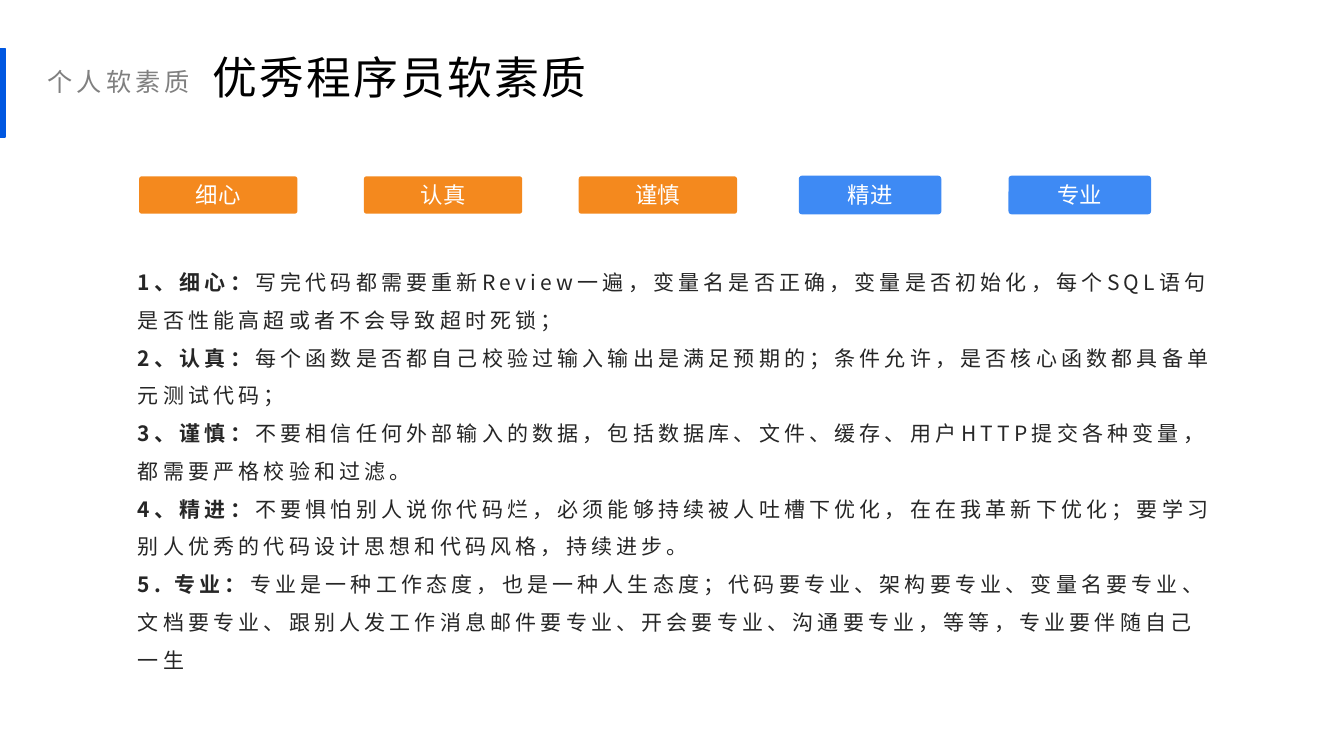
from lxml import etree
from pptx import Presentation
from pptx.dml.color import RGBColor
from pptx.enum.shapes import MSO_SHAPE
from pptx.enum.text import MSO_ANCHOR, MSO_AUTO_SIZE, PP_ALIGN
from pptx.oxml.ns import qn
from pptx.util import Inches, Pt

RECT, ROUND = MSO_SHAPE.RECTANGLE, MSO_SHAPE.ROUNDED_RECTANGLE
TOP, MIDDLE, BOTTOM = MSO_ANCHOR.TOP, MSO_ANCHOR.MIDDLE, MSO_ANCHOR.BOTTOM
LEFT, CENTER = PP_ALIGN.LEFT, PP_ALIGN.CENTER
FIXED, GROW = MSO_AUTO_SIZE.NONE, MSO_AUTO_SIZE.SHAPE_TO_FIT_TEXT
CJK = "Noto Sans CJK SC"
COLORS = {"bar": "0057E1", "title": "000000", "label": "808080", "body": "262626",
          "orange": "F4891E", "blue": "3E8AF4", "white": "FFFFFF"}


def add_run(par, text, size, color, gap=0, bold=False, font=CJK):
    """Append a run; gap is the letter spacing in points."""
    run = par.add_run()
    run.text = text
    for key, value in {"size": Pt(size), "bold": bold, "name": font}.items():
        setattr(run.font, key, value)
    run.font.color.rgb = RGBColor.from_string(COLORS[color])
    props = run.font._element
    props.set("spc", str(int(gap * 100)))
    etree.SubElement(props, qn("a:ea")).set("typeface", CJK)


def add_block(kind, left, top, width, height, color, edge):
    block = slide.shapes.add_shape(kind, Inches(left), Inches(top), Inches(width), Inches(height))
    block.shadow.inherit = False
    rgb = RGBColor.from_string(COLORS[color])
    block.fill.solid()
    block.fill.fore_color.rgb = rgb
    if edge:
        block.line.color.rgb = rgb
        block.line.width = Pt(1)
    else:
        block.line.fill.background()
    return block


deck = Presentation()
deck.slide_width, deck.slide_height = Inches(13.33), Inches(7.5)
slide = deck.slides.add_slide(deck.slide_layouts[5])

add_block(RECT, 0, 0.48, 0.05, 0.88, "bar", True)

# Headings
title = slide.shapes.title
title.left, title.top, title.width, title.height = map(Inches, (2.01, 0.39, 11, 0.66))
label = slide.shapes.add_textbox(Inches(0.37), Inches(0.48), Inches(10.48), Inches(0.48))
heads = [
    (title, "优秀程序员软素质", 32, "title", 1.5, TOP, 0, 0.05),
    (label, "个人软素质", 18, "label", 3, BOTTOM, 0.05, 0),
]
for box, text, size, color, gap, anchor, above, below in heads:
    frame = box.text_frame
    form = {"word_wrap": True, "auto_size": FIXED, "vertical_anchor": anchor,
            "margin_top": Inches(above), "margin_bottom": Inches(below)}
    for key, value in form.items():
        setattr(frame, key, value)
    par = frame.paragraphs[0]
    par.alignment, par.line_spacing = LEFT, 1.2
    add_run(par, text, size, color, gap)

# Explanations
points = [
    ("1、细心：", "写完代码都需要重新Review一遍，变量名是否正确，变量是否初始化，"
     "每个SQL语句是否性能高超或者不会导致超时死锁；"),
    ("2、认真：", "每个函数是否都自己校验过输入输出是满足预期的；条件允许，"
     "是否核心函数都具备单元测试代码；"),
    ("3、谨慎：", "不要相信任何外部输入的数据，包括数据库、文件、缓存、"
     "用户HTTP提交各种变量，都需要严格校验和过滤。"),
    ("4、精进：", "不要惧怕别人说你代码烂，必须能够持续被人吐槽下优化，在在我革新下优化；"
     "要学习别人优秀的代码设计思想和代码风格，持续进步。"),
    ("5. 专业：", "专业是一种工作态度，也是一种人生态度；代码要专业、架构要专业、变量名要专业、"
     "文档要专业、跟别人发工作消息邮件要专业、开会要专业、沟通要专业，等等，专业要伴随自己一生"),
]
body = slide.shapes.add_textbox(Inches(1.27), Inches(2.5), Inches(10.93), Inches(4.27))
frame = body.text_frame
frame.word_wrap, frame.auto_size = True, GROW
for i, (head, text) in enumerate(points):
    par = frame.add_paragraph() if i else frame.paragraphs[0]
    par.line_spacing = 1.5
    add_run(par, head, 15, "body", 3, True)
    add_run(par, text, 15, "body", 3)

# Quality badges
badges = [
    ("细心", 1.38, 1.57, "orange"),
    ("认真", 3.61, 1.57, "orange"),
    ("谨慎", 5.74, 1.57, "orange"),
    ("精进", 7.93, 1.4, "blue"),
    ("专业", 10.01, 1.4, "blue"),
]
for text, left, width, color in badges:
    badge = add_block(ROUND, left, 1.75, width, 0.37, color, color == "blue")
    badge.adjustments[0] = 0.07
    frame = badge.text_frame
    frame.vertical_anchor = MIDDLE
    par = frame.paragraphs[0]
    par.alignment = CENTER
    add_run(par, text, 16, "white", font="Calibri")

deck.save("out.pptx")
